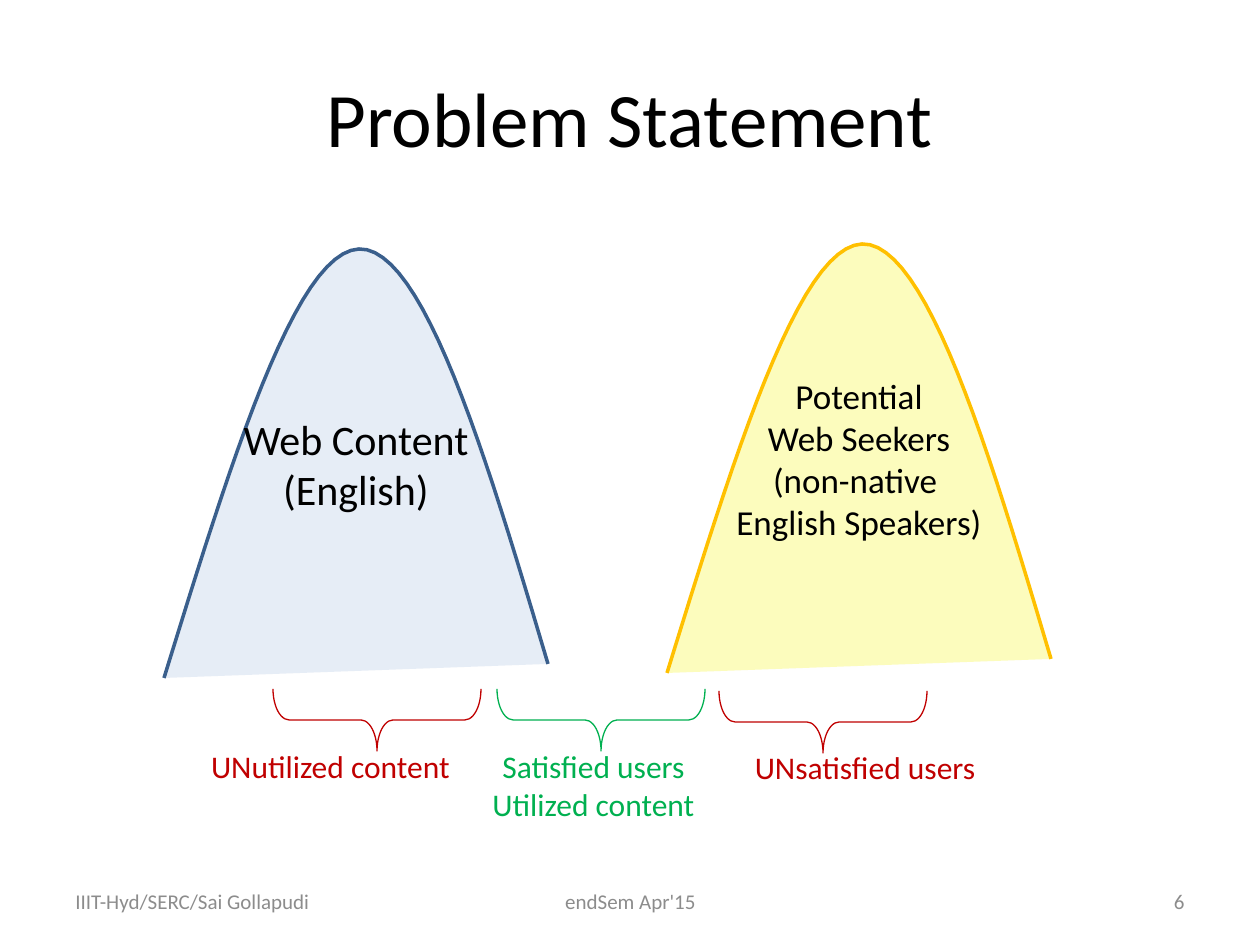
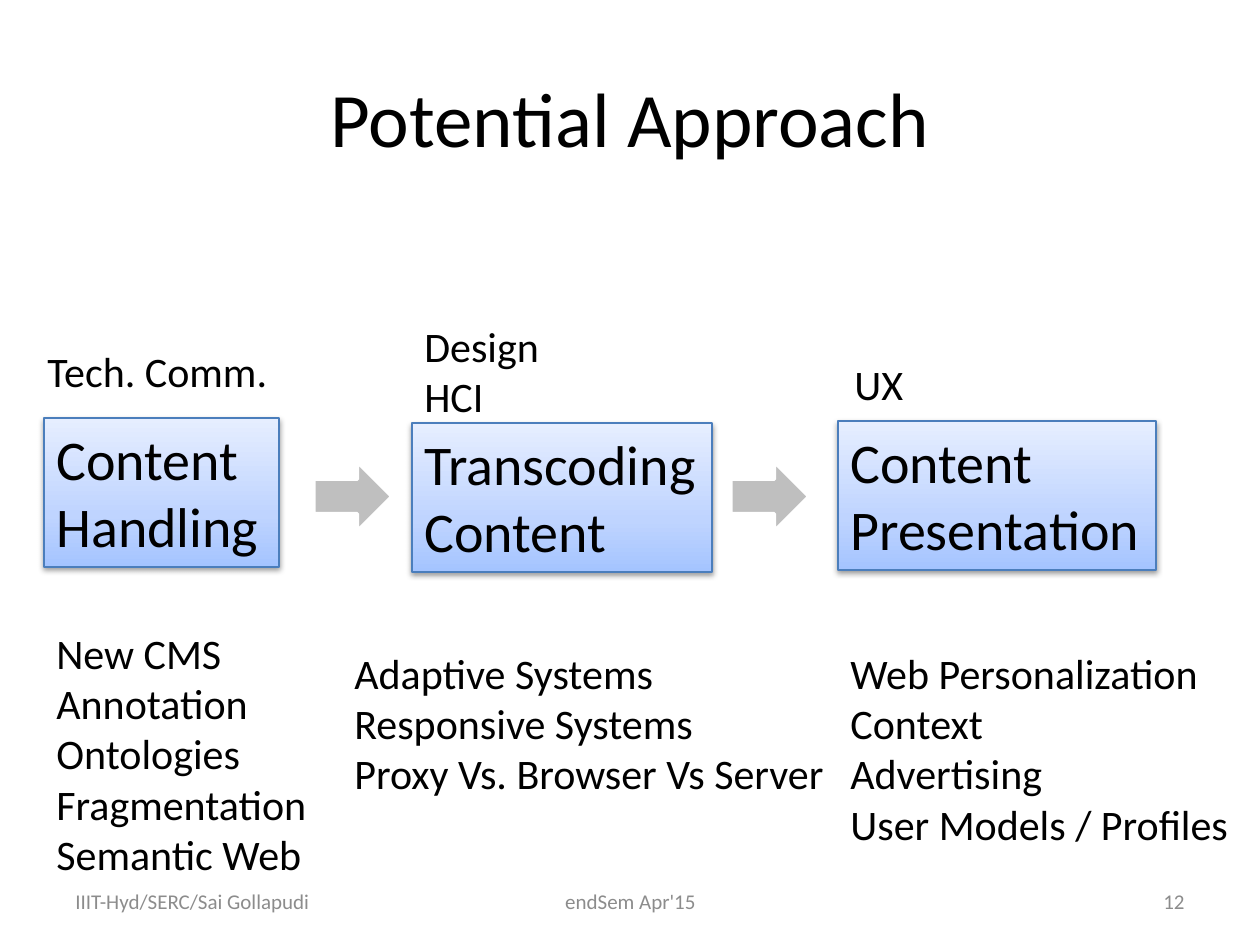
from dataclasses import dataclass

from lxml import etree
from pptx import Presentation
from pptx.dml.color import RGBColor
from pptx.enum.shapes import MSO_SHAPE
from pptx.enum.text import MSO_ANCHOR, MSO_AUTO_SIZE, PP_ALIGN
from pptx.oxml.ns import qn
from pptx.util import Pt

SCALE = 914400 / 126  # EMU in one px
LEFT, MID, RIGHT = PP_ALIGN.LEFT, PP_ALIGN.CENTER, PP_ALIGN.RIGHT
TOP, CENTER = MSO_ANCHOR.TOP, MSO_ANCHOR.MIDDLE
FIT, FIXED = MSO_AUTO_SIZE.SHAPE_TO_FIT_TEXT, MSO_AUTO_SIZE.NONE
RECT, ARROW, BRACE = MSO_SHAPE.RECTANGLE, MSO_SHAPE.RIGHT_ARROW, MSO_SHAPE.RIGHT_BRACE

Place = tuple[int, int, int, int]  # left, top, width, height in px
Point = tuple[int, int]


@dataclass(frozen=True)
class Theme:
    font: str = "Calibri"
    black: str = "000000"
    white: str = "FFFFFF"
    grey: str = "8C8C8C"
    arrow: str = "BFBFBF"
    red: str = "C00000"
    green: str = "00B050"
    blue: str = "DCE6F2"
    navy: str = "3A5F8C"
    lemon: str = "FCFCA2"
    gold: str = "FFC000"
    edge: str = "4B7EBC"
    blend: tuple = ((0, "A4C4FF"), (35, "BFD4FF"), (100, "E6EEFF"))
    title: int = 44
    stage: int = 32
    body: int = 24
    small: int = 20
    label: int = 18
    foot: int = 12


@dataclass(frozen=True)
class Hill:
    left: int
    top: int
    text: str
    size: int
    fill: str
    line: str
    solid: int  # percent


@dataclass(frozen=True)
class Group:
    left: int
    top: int
    text: str
    place: Place
    color: str


@dataclass(frozen=True)
class Stage:
    name: str
    box: Place
    field: str
    above: Place
    topics: str
    below: Place


T = Theme()

# Slide content
HILLS = [
    Hill(164, 249, "Web Content\n(English)", T.body, T.blue, T.navy, 69),
    Hill(667, 244, "Potential\nWeb Seekers\n(non-native \nEnglish Speakers)",
         T.small, T.lemon, T.gold, 70),
]
GROUPS = [
    Group(497, 689, "Satisfied users\nUtilized content", (479, 741, 229, 89), T.green),
    Group(273, 689, "UNutilized content", (197, 741, 267, 50), T.red),
    Group(719, 691, "UNsatisfied users", (741, 742, 248, 50), T.red),
]
STAGES = [
    Stage("Content\vHandling", (44, 418, 235, 149),
          "Tech. Comm.", (35, 339, 247, 63),
          "New CMS\nAnnotation\nOntologies\nFragmentation\nSemantic Web",
          (44, 621, 278, 267)),
    Stage("Transcoding\vContent", (412, 423, 300, 149),
          "Design\vHCI", (412, 314, 151, 115),
          "Adaptive Systems\nResponsive Systems\nProxy Vs. Browser Vs Server",
          (342, 641, 500, 165)),
    Stage("Content\vPresentation", (838, 421, 318, 149),
          "UX", (842, 352, 74, 63),
          "Web Personalization\nContext\nAdvertising\nUser Models / Profiles",
          (838, 641, 407, 217)),
]
ARROWS = [(314, 462, 78, 69), (731, 462, 78, 69)]

# Hill outline: two cubic curves that meet at the peak
CURVES = [
    ((0, 429), (66, 216), (131, 3), (195, 0)),
    ((195, 0), (259, -2), (322, 206), (384, 415)),
]
STEPS = 24
SPAN, DEPTH = 208, 62  # brace size once turned


def emu(px: float) -> int:
    return round(px * SCALE)


def rgb(code: str) -> RGBColor:
    return RGBColor.from_string(code)


def add(node, tag: str, **attrs):
    return etree.SubElement(node, qn(tag), {k: str(v) for k, v in attrs.items()})


def tint(node, code: str, solid: int) -> None:
    add(add(node, "a:srgbClr", val=code), "a:alpha", val=solid * 1000)


# Text
def write(frame, text: str, *, size: int, color: str = T.black, align=LEFT,
          anchor=TOP, wrap: bool = True) -> None:
    frame.word_wrap = wrap
    frame.auto_size = FIXED if wrap else FIT
    frame.vertical_anchor = anchor
    for i, line in enumerate(text.split("\n")):
        para = frame.paragraphs[0] if i == 0 else frame.add_paragraph()
        para.text = line
        para.alignment = align
        for run in para.runs:
            run.font.name = T.font
            run.font.size = Pt(size)
            run.font.color.rgb = rgb(color)


def label(slide, text: str, place: Place, **style) -> None:
    box = slide.shapes.add_textbox(*map(emu, place))
    write(box.text_frame, text, **style)


# Shapes
def paint(shape, fill: str | None, line: str, width: float) -> None:
    shape.shadow.inherit = False
    if fill:
        shape.fill.solid()
        shape.fill.fore_color.rgb = rgb(fill)
    else:
        shape.fill.background()
    shape.line.color.rgb = rgb(line)
    shape.line.width = Pt(width)


def form(slide, kind, place: Place, fill: str | None, line: str, width: float):
    shape = slide.shapes.add_shape(kind, *map(emu, place))
    paint(shape, fill, line, width)
    return shape


def bend(curve: tuple[Point, ...], t: float) -> list[float]:
    u = 1 - t
    parts = (u ** 3, 3 * u * u * t, 3 * u * t * t, t ** 3)
    return [sum(w * p[axis] for w, p in zip(parts, curve)) for axis in (0, 1)]


def draw_hill(slide, hill: Hill) -> None:
    spots = [CURVES[0][0]]
    spots += [bend(c, i / STEPS) for c in CURVES for i in range(1, STEPS + 1)]
    points = [(emu(hill.left + x), emu(hill.top + y)) for x, y in spots]
    pen = slide.shapes.build_freeform(*points[0])
    pen.add_line_segments(points[1:], close=False)
    shape = pen.convert_to_shape()
    paint(shape, hill.fill, hill.line, 2)
    shade = shape._element.spPr.find(qn("a:solidFill"))
    add(shade[0], "a:alpha", val=hill.solid * 1000)
    write(shape.text_frame, hill.text, size=hill.size, align=MID, anchor=CENTER)


def draw_group(slide, group: Group) -> None:
    shift = (SPAN - DEPTH) // 2
    place = (group.left + shift, group.top - shift, DEPTH, SPAN)
    brace = form(slide, BRACE, place, None, group.color, 0.75)
    brace.rotation = 90
    brace.adjustments[0] = 0.26
    label(slide, group.text, group.place, size=T.label, color=group.color,
          align=MID, wrap=False)


def draw_stage(slide, stage: Stage) -> None:
    box = form(slide, RECT, stage.box, None, T.edge, 0.75)
    box.fill.gradient()
    box.fill.gradient_angle = 90
    props = box._element.spPr
    stops = props.find(".//" + qn("a:gsLst"))
    stops.clear()
    for spot, code in T.blend:
        tint(add(stops, "a:gs", pos=spot * 1000), code, 100)
    glow = add(props.find(qn("a:effectLst")), "a:outerShdw", blurRad=40000,
               dist=20000, dir=5400000, rotWithShape=0)
    tint(glow, T.black, 38)
    write(box.text_frame, stage.name, size=T.stage, wrap=False)
    label(slide, stage.field, stage.above, size=T.body, wrap=False)
    label(slide, stage.topics, stage.below, size=T.body, wrap=False)


# Shared frame: title and footers
def start(deck, title: str, page: int):
    slide = deck.slides.add_slide(deck.slide_layouts[6])
    label(slide, title, (63, 38, 1134, 157), size=T.title, align=MID, anchor=CENTER)
    feet = [
        ("IIIT-Hyd/SERC/Sai Gollapudi", 63, 294, LEFT),
        ("endSem Apr'15", 431, 399, MID),
        (str(page), 903, 294, RIGHT),
    ]
    for text, left, width, align in feet:
        label(slide, text, (left, 876, width, 50), size=T.foot, color=T.grey,
              align=align, anchor=CENTER)
    return slide


def main() -> None:
    deck = Presentation()
    deck.slide_width, deck.slide_height = emu(1260), emu(945)

    # Problem
    slide = start(deck, "Problem Statement", 6)
    for hill in HILLS:
        draw_hill(slide, hill)
    for group in GROUPS:
        draw_group(slide, group)

    # Approach
    slide = start(deck, "Potential Approach", 12)
    for stage in STAGES:
        draw_stage(slide, stage)
    for place in ARROWS:
        form(slide, ARROW, place, T.arrow, T.white, 2)

    deck.save("out.pptx")


if __name__ == "__main__":
    main()
